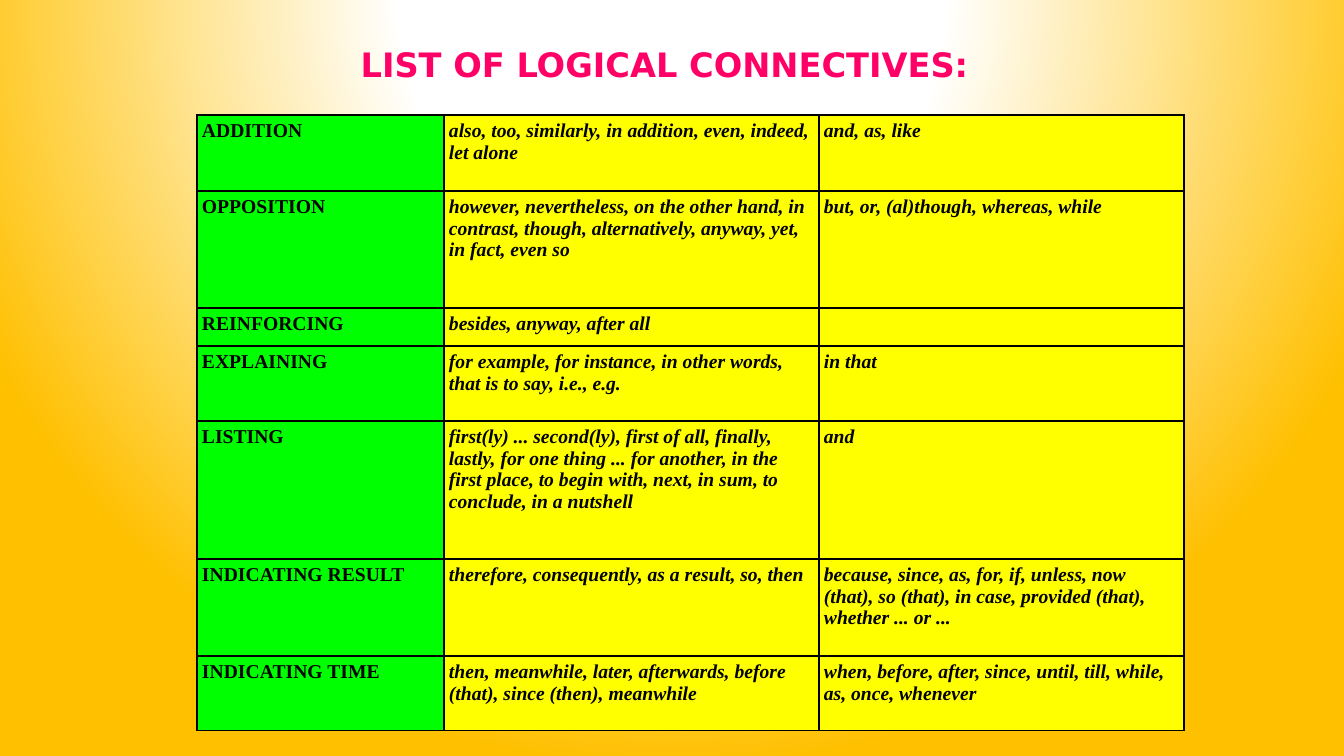
from pptx import Presentation
from pptx import util as u
from pptx.dml.color import RGBColor
from pptx.enum import text
from pptx.oxml import parse_xml
from pptx.oxml.ns import nsdecls, qn

PX = u.Inches(1) / 100.8
WHITE = RGBColor(0xFF, 0xFF, 0xFF)
AMBER = RGBColor(0xFF, 0xC0, 0x00)
PINK = RGBColor(0xFF, 0x00, 0x66)
BLACK = RGBColor(0x00, 0x00, 0x00)
GREEN = RGBColor(0x00, 0xFF, 0x00)
YELLOW = RGBColor(0xFF, 0xFF, 0x00)

COLUMN_WIDTHS = (247, 375, 365)
# Row height, then the text of the three cells
CONNECTIVES = (
    (76, "ADDITION",
     "also, too, similarly, in addition, even, indeed, let alone",
     "and, as, like"),
    (117, "OPPOSITION",
     "however, nevertheless, on the other hand, in contrast, though, "
     "alternatively, anyway, yet, in fact, even so",
     "but, or, (al)though, whereas, while"),
    (38, "REINFORCING", "besides, anyway, after all", ""),
    (75, "EXPLAINING",
     "for example, for instance, in other words, that is to say, i.e., e.g.",
     "in that"),
    (138, "LISTING",
     "first(ly) ... second(ly), first of all, finally, lastly, for one thing ... "
     "for another, in the first place, to begin with, next, in sum, to conclude, "
     "in a nutshell",
     "and"),
    (97, "INDICATING RESULT",
     "therefore, consequently, as a result, so, then",
     "because, since, as, for, if, unless, now (that), so (that), in case, "
     "provided (that), whether ... or ..."),
    (75, "INDICATING TIME",
     "then, meanwhile, later, afterwards, before (that), since (then), meanwhile",
     "when, before, after, since, until, till, while, as, once, whenever"),
)


def px(length):
    return u.Emu(round(length * PX))


def set_font(font, name, size, color, italic=None):
    font.name, font.size, font.bold, font.italic = name, u.Pt(size), True, italic
    font.color.rgb = color


def paint_background(page):
    """Fill the page with a white glow that fades outwards to amber."""
    page.background.fill.solid()
    properties = page.element.find(".//" + qn("p:bgPr"))
    stops = "".join(
        f'<a:gs pos="{percent * 1000}"><a:srgbClr val="{color}"/></a:gs>'
        for percent, color in ((0, WHITE), (35, WHITE), (100, AMBER)))
    properties.replace(properties[0], parse_xml(
        f'<a:gradFill {nsdecls("a")} rotWithShape="1"><a:gsLst>{stops}</a:gsLst>'
        '<a:path path="circle">'
        '<a:fillToRect l="50000" t="-80000" r="50000" b="180000"/>'
        '</a:path></a:gradFill>'))


def add_title(page, left, top, width, height):
    box = page.shapes.add_textbox(px(left), px(top), px(width), px(height))
    frame = box.text_frame
    frame.word_wrap = False
    frame.auto_size = text.MSO_AUTO_SIZE.SHAPE_TO_FIT_TEXT
    para = frame.paragraphs[0]
    para.text = "LIST OF LOGICAL CONNECTIVES:"
    para.alignment = text.PP_ALIGN.CENTER
    set_font(para.font, "DejaVu Sans", 24, PINK)


def add_borders(cell):
    properties = cell._tc.get_or_add_tcPr()
    for side in ("lnL", "lnR", "lnT", "lnB"):
        properties.append(parse_xml(
            f'<a:{side} {nsdecls("a")} w="{u.Pt(1)}"><a:solidFill>'
            f'<a:srgbClr val="{BLACK}"/></a:solidFill></a:{side}>'))


def fill_cell(cell, words, is_category):
    cell.margin_left = cell.margin_right = px(5)
    cell.margin_top = cell.margin_bottom = px(5)
    add_borders(cell)
    cell.fill.solid()
    cell.fill.fore_color.rgb = GREEN if is_category else YELLOW
    para = cell.text_frame.paragraphs[0]
    if words:
        para.text = words
    set_font(para.font, "Times New Roman", 14, BLACK, italic=not is_category)


def add_connectives_table(page, left, top):
    heights = [row[0] for row in CONNECTIVES]
    table = page.shapes.add_table(
        len(heights), len(COLUMN_WIDTHS), px(left), px(top),
        px(sum(COLUMN_WIDTHS)), px(sum(heights))).table
    table.first_row = table.horz_banding = False
    for column, width in zip(table.columns, COLUMN_WIDTHS):
        column.width = px(width)
    for row, (height, *entries) in zip(table.rows, CONNECTIVES):
        row.height = px(height)
        for index, words in enumerate(entries):
            fill_cell(row.cells[index], words, is_category=index == 0)


def main():
    deck = Presentation()
    deck.slide_width, deck.slide_height = px(1344), px(756)
    page = deck.slides.add_slide(deck.slide_layouts[6])
    paint_background(page)
    add_connectives_table(page, 197, 115)
    add_title(page, 340, 39, 649, 50)
    deck.save("out.pptx")


if __name__ == "__main__":
    main()
